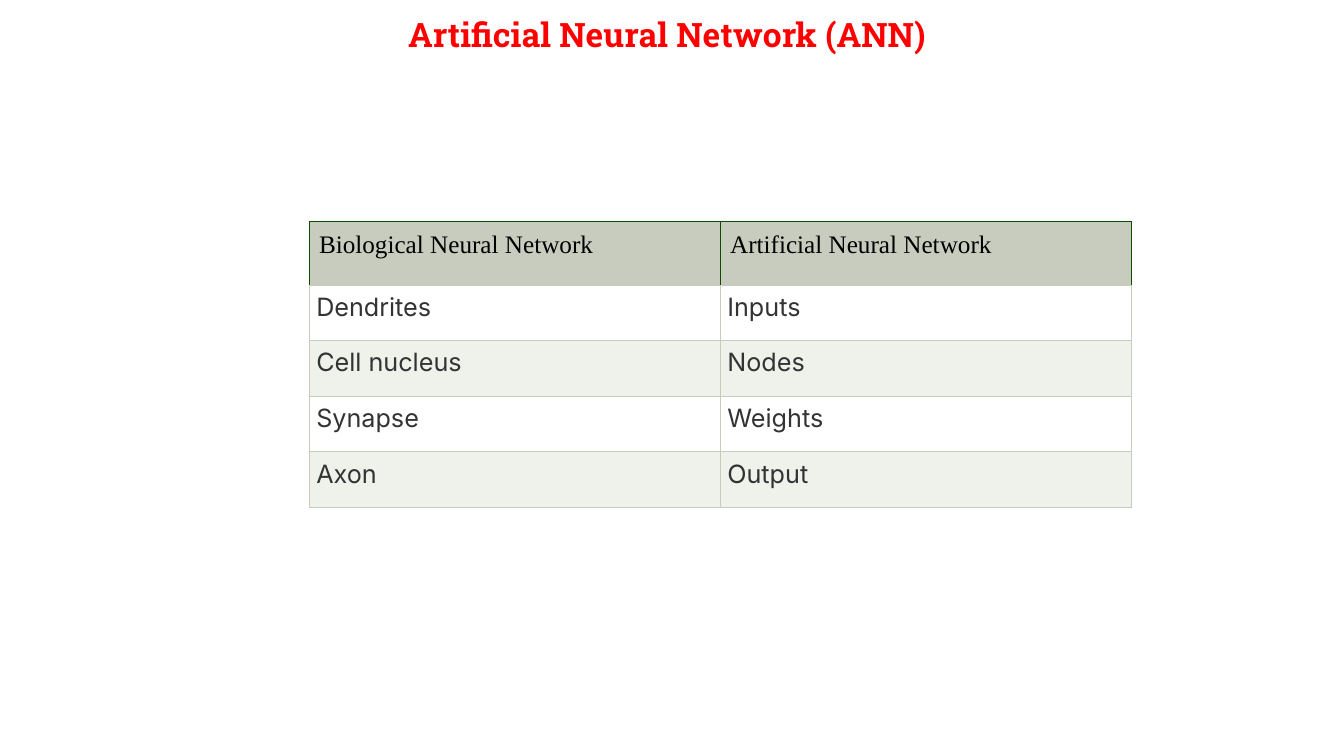
import pptx
import pptx.dml.color
import pptx.enum.text
import pptx.oxml
import pptx.oxml.ns
import pptx.util

Cm = pptx.util.Cm
Pt = pptx.util.Pt
RGBColor = pptx.dml.color.RGBColor
ALIGN = pptx.enum.text.PP_ALIGN

RED = RGBColor(0xFF, 0x00, 0x00)
BLACK = RGBColor(0x00, 0x00, 0x00)
GREY = RGBColor(0x33, 0x33, 0x33)
WHITE = RGBColor(0xFF, 0xFF, 0xFF)
SAGE = RGBColor(0xC7, 0xCC, 0xBE)
PALE = RGBColor(0xEF, 0xF1, 0xEB)
GREEN = RGBColor(0x10, 0x4A, 0x00)

PAIRS = [
    ("Biological Neural Network", "Artificial Neural Network"),
    ("Dendrites", "Inputs"),
    ("Cell nucleus", "Nodes"),
    ("Synapse", "Weights"),
    ("Axon", "Output"),
]


def style_runs(para, name, size, color, bold=False):
    for run in para.runs:
        run.font.name = name
        run.font.size = Pt(size)
        run.font.color.rgb = color
        run.font.bold = bold


def add_title(slide, text):
    box = slide.shapes.add_textbox(Cm(8.53), Cm(0.08), Cm(16.56), Cm(1.35))
    frame = box.text_frame
    frame.word_wrap = True
    frame.auto_size = pptx.enum.text.MSO_AUTO_SIZE.SHAPE_TO_FIT_TEXT
    frame.text = text
    para = frame.paragraphs[0]
    para.alignment = ALIGN.CENTER
    para.line_spacing = 1.15
    style_runs(para, "Roboto Slab", 24, RED, bold=True)


def set_edges(cell, colors):
    """Draw thin borders; colors are in the order left, right, top, bottom."""
    props = cell._tc.get_or_add_tcPr()
    space = pptx.oxml.ns.nsdecls("a")
    for side, color in zip("LRTB", colors):
        props.append(pptx.oxml.parse_xml(
            f'<a:ln{side} {space} w="{Pt(0.6)}"><a:solidFill>'
            f'<a:srgbClr val="{color}"/></a:solidFill></a:ln{side}>'))


def fill_cell(cell, text, head, fill):
    cell.text_frame.text = text
    para = cell.text_frame.paragraphs[0]
    if head:
        style_runs(para, "Times New Roman", 18, BLACK)
        set_edges(cell, [GREEN, GREEN, GREEN, SAGE])
    else:
        para.alignment = ALIGN.JUSTIFY
        style_runs(para, "Inter", 18, GREY)
        set_edges(cell, [SAGE] * 4)
    inset = Cm(0.25 if head else 0.18)
    cell.margin_left = cell.margin_right = inset
    cell.margin_top = cell.margin_bottom = inset
    cell.fill.solid()
    cell.fill.fore_color.rgb = fill


def add_pairs(slide, pairs):
    frame = slide.shapes.add_table(
        len(pairs), 2, Cm(7.79), Cm(5.58), Cm(20.72), Cm(7.2))
    table = frame.table
    table.horz_banding = False
    for col in table.columns:
        col.width = Cm(10.36)
    for r, pair in enumerate(pairs):
        head = r == 0
        table.rows[r].height = Cm(1.6 if head else 1.4)
        fill = SAGE if head else (PALE, WHITE)[r % 2]
        for c, text in enumerate(pair):
            fill_cell(table.cell(r, c), text, head, fill)


def main():
    deck = pptx.Presentation()
    deck.slide_width = Cm(33.87)
    deck.slide_height = Cm(19.05)
    slide = deck.slides.add_slide(deck.slide_layouts[6])
    add_title(slide, "Artificial Neural Network (ANN)")
    add_pairs(slide, PAIRS)
    deck.save("out.pptx")


if __name__ == "__main__":
    main()
